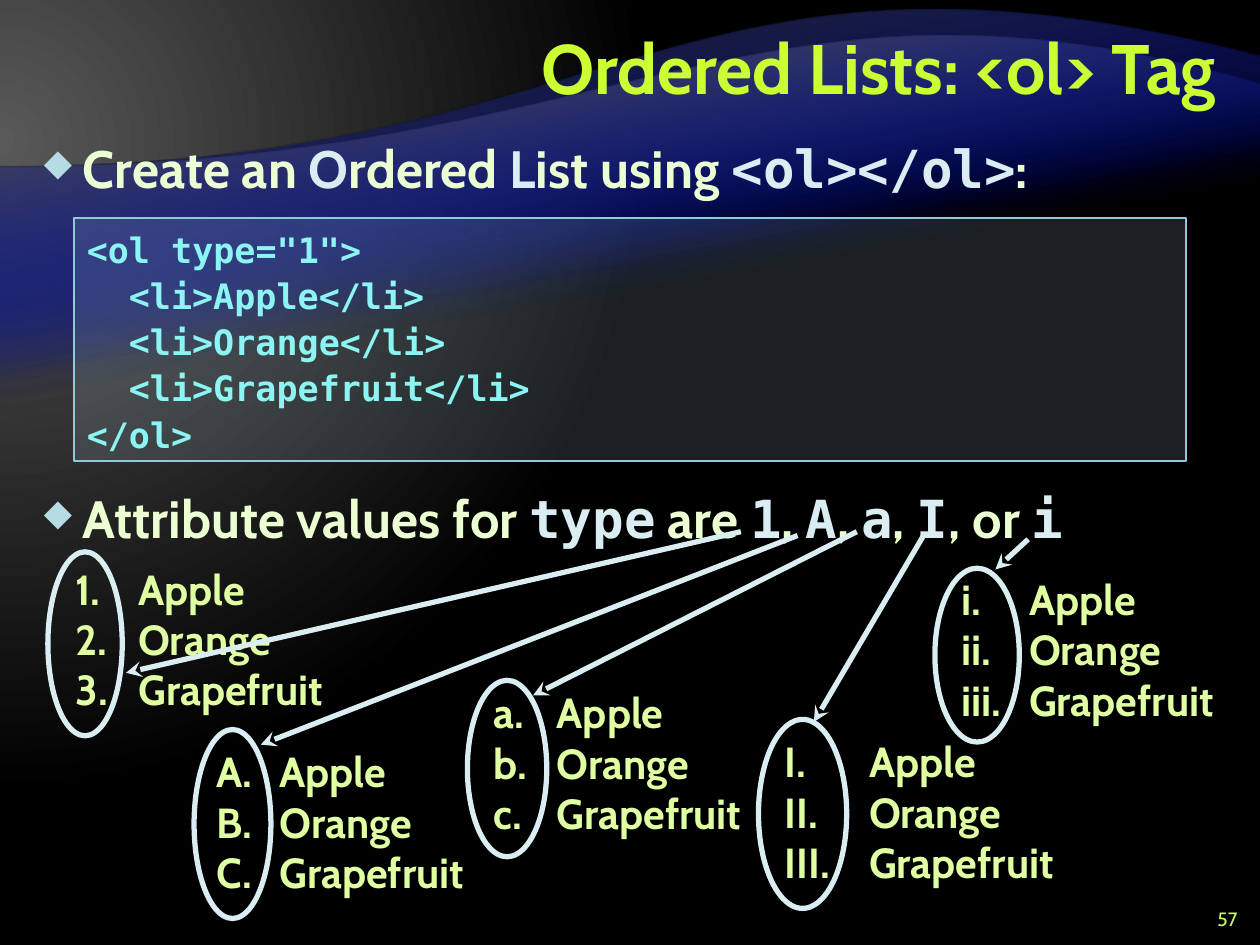
"""Build the slide that explains ordered lists and their type attribute."""
from lxml import etree
from pptx import Presentation
from pptx.dml.color import RGBColor
from pptx.enum.shapes import MSO_CONNECTOR, MSO_SHAPE
from pptx.enum.text import MSO_ANCHOR, MSO_AUTO_SIZE, PP_ALIGN
from pptx.oxml import parse_xml
from pptx.oxml.ns import nsdecls, qn
from pptx.util import Inches, Pt

STRAIGHT = MSO_CONNECTOR.STRAIGHT
ELLIPSE, RECTANGLE = MSO_SHAPE.OVAL, MSO_SHAPE.RECTANGLE
TOP, MIDDLE = MSO_ANCHOR.TOP, MSO_ANCHOR.MIDDLE
LEFT, RIGHT = PP_ALIGN.LEFT, PP_ALIGN.RIGHT
FIT, FIXED = MSO_AUTO_SIZE.SHAPE_TO_FIT_TEXT, MSO_AUTO_SIZE.NONE
SANS, MONO = "Cabin", "DejaVu Sans Mono"
PALE, CREAM, LIME = "DAEDF2", "EBFFD2", "E0FFA3"
FRUITS = ["Apple", "Orange", "Grapefruit"]

presentation = Presentation()
presentation.slide_width, presentation.slide_height = Inches(10), Inches(7.5)
column = presentation.slide_width / 100
row = presentation.slide_height / 75
slide = presentation.slides.add_slide(presentation.slide_layouts[6])
shapes = slide.shapes


def paint(colour, value, opacity=None):
    """Set a colour from a hex string, with an optional opacity."""
    colour.rgb = RGBColor.from_string(value)
    if opacity is not None:
        node = colour._color._xClr
        etree.SubElement(node, qn("a:alpha")).set("val", str(opacity * 1000))


def write(paragraph, runs, size, layout, indent=(0, 0), bullet=(), bold=True):
    """Format one paragraph and fill it with (text, font, colour) runs."""
    for name, value in layout.items():
        setattr(paragraph, name, value)
    properties = paragraph._p.get_or_add_pPr()
    for name, value in zip(("marL", "indent"), indent):
        properties.set(name, str(round(value * column)))
    for tag in bullet:
        properties.append(parse_xml(tag.replace("/>", f' {nsdecls("a")}/>', 1)
                                    if tag.endswith("/>") and "><" not in tag
                                    else tag.replace(">", f' {nsdecls("a")}>', 1)))
    for text, typeface, colour in runs:
        run = paragraph.add_run()
        run.text = text
        for name, value in {"name": typeface, "size": Pt(size), "bold": bold}.items():
            setattr(run.font, name, value)
        paint(run.font.color, colour)


backdrop = slide.background.fill
backdrop.gradient()
for stop, position, colour in zip(backdrop.gradient_stops, (0, 0.83), ("595959", "000000")):
    stop.position = position
    paint(stop.color, colour)
gradient = slide.element.find(".//" + qn("a:gradFill"))
gradient.replace(gradient.find(qn("a:lin")), parse_xml(
    f'<a:path {nsdecls("a")} path="circle">'
    '<a:fillToRect l="20000" t="30000" r="135000" b="100000"/></a:path>'))

waves = [
    (65.3, 4.5, [(50, 13.3), (53.4, -7.5)], "262626"),
    (55.7, 6.7, [(50, 13.3), (59.8, -4.9)], "595959"),
] * 2
for bottom, crest, handles, edge in waves:
    builder = shapes.build_freeform(round(100 * column), round(bottom * row))
    corners = [(0, bottom), (0, 13.3), (100, crest)]
    builder.add_line_segments([(round(x * column), round(y * row)) for x, y in corners])
    wave = builder.convert_to_shape()
    wave.shadow.inherit = False
    wave.line.fill.background()
    wave.fill.gradient()
    wave.fill.gradient_angle = 100
    for stop, position, colour, opacity in zip(
            wave.fill.gradient_stops, (0.65, 1), ("000D9E", edge), (0, None)):
        stop.position = position
        paint(stop.color, colour, opacity)
    straight = wave.element.findall(".//" + qn("a:lnTo"))[2]
    curve = etree.Element(qn("a:cubicBezTo"))
    for x, y in handles + [(100, crest)]:
        point = etree.SubElement(curve, qn("a:pt"))
        point.set("x", str(round(x * column)))
        point.set("y", str(round((y - crest) * row)))
    straight.getparent().replace(straight, curve)

code_box = shapes.add_shape(RECTANGLE, *map(round, (5.9 * column, 17.3 * row, 88.2 * column, 19.3 * row)))
code_box.shadow.inherit = False
code_box.fill.solid()
paint(code_box.fill.fore_color, "B5DBE5", 15)
paint(code_box.line.color, "90CAD7")
code_box.line.width = Pt(1)
code_lines = [(0, '<ol type="1">')] + [(3.34, f"<li>{fruit}</li>") for fruit in FRUITS] + [(0, "</ol>")]

diamond = ['<a:buClr><a:srgbClr val="B5DBE5"/></a:buClr>', '<a:buSzPct val="70000"/>', '<a:buChar char="◆"/>']
body_layout = {"line_spacing": Pt(38), "space_before": Pt(6), "space_after": Pt(6)}
lower_layout = {**body_layout, "space_before": Pt(156)}
create_runs = [
    ("Create an ", SANS, CREAM), ("O", SANS, PALE), ("rdered ", SANS, CREAM),
    ("L", SANS, PALE), ("ist using ", SANS, CREAM), ("<ol></ol>", MONO, PALE), (":", SANS, CREAM),
]
value_runs = []
for joint, value in [("Attribute values for ", "type"), (" are ", "1"), (", ", "A"),
                     (", ", "a"), (", ", "I"), (", or ", "i")]:
    value_runs += [(joint, SANS, CREAM), (value, MONO, PALE)]

right_title = {"alignment": RIGHT, "line_spacing": Pt(40)}
frames = [
    (code_box, TOP, True, FIT,
     [([(text, MONO, "8CF4F2")], 20, {"alignment": LEFT, "line_spacing": 1.1}, (inset, 0))
      for inset, text in code_lines]),
    ((20, 0.8, 77.5, 10), MIDDLE, True, FIXED,
     [([("Ordered Lists: <ol> Tag", SANS, "CCFF33")], 40, right_title)]),
    ((2.5, 10, 95, 62.5), TOP, True, FIXED,
     [(create_runs, 30, body_layout, (3.1, -3.1), diamond),
      (value_runs, 30, lower_layout, (3.1, -3.1), diamond)]),
    ((94.2, 71.7, 5, 2.5), MIDDLE, True, FIXED,
     [([("57", SANS, "CCFF66")], 11, {"alignment": RIGHT}, (0, 0), (), False)]),
]

examples = [
    ("arabicPeriod", (5, 44.2, 22.1), 5, (3.8, 43.8, 5.9, 14.6), (58.8, 42.2, 10, 53.4)),
    ("alphaUcPeriod", (16.2, 58.7, 22.1), 5, (15.4, 57.9, 6.1, 15), (63.3, 42.5, 20.7, 59.1)),
    ("alphaLcPeriod", (38.2, 54, 22.1), 5, (37.1, 54, 6.3, 14), (68, 42.2, 42.3, 55.2)),
    ("romanUcPeriod", (61.3, 57.9, 23.7), 6.7, (60.2, 57.1, 7, 15), (73.3, 42.5, 64.6, 57.3)),
    ("romanLcPeriod", (75.3, 45, 22.5), 5.4, (74.2, 45.1, 6.7, 13.8), (81.6, 42.8, 79, 45.2)),
]
for numbering, place, indent, ring, arrow in examples:
    number = [f'<a:buFont typeface="+mj-lt"/>', f'<a:buAutoNum type="{numbering}"/>']
    frames.append(((*place, 13.1), TOP, False, FIT,
                   [([(fruit, SANS, LIME)], 24, {"alignment": LEFT}, (indent, -indent), number)
                    for fruit in FRUITS]))

for place, anchor, wrap, sizing, paragraphs in frames:
    if isinstance(place, tuple):
        left, top, width, height = place
        shape = shapes.add_textbox(*map(round, (left * column, top * row, width * column, height * row)))
    else:
        shape = place
    frame = shape.text_frame
    for name, value in {"word_wrap": wrap, "vertical_anchor": anchor, "auto_size": sizing}.items():
        setattr(frame, name, value)
    for index, content in enumerate(paragraphs):
        write(frame.add_paragraph() if index else frame.paragraphs[0], *content)

for numbering, place, indent, ring, arrow in examples:
    x, y, end_x, end_y = arrow
    pointer = shapes.add_connector(STRAIGHT, *map(round, (x * column, y * row, end_x * column, end_y * row)))
    left, top, width, height = ring
    oval = shapes.add_shape(ELLIPSE, *map(round, (left * column, top * row, width * column, height * row)))
    oval.shadow.inherit = False
    oval.fill.background()
    for shape in (pointer, oval):
        paint(shape.line.color, PALE)
        shape.line.width = Pt(3)
    outline = pointer.element.find(".//" + qn("a:ln"))
    etree.SubElement(outline, qn("a:tailEnd")).set("type", "stealth")
    etree.SubElement(outline.getparent(), qn("a:effectLst"))

presentation.save("out.pptx")
